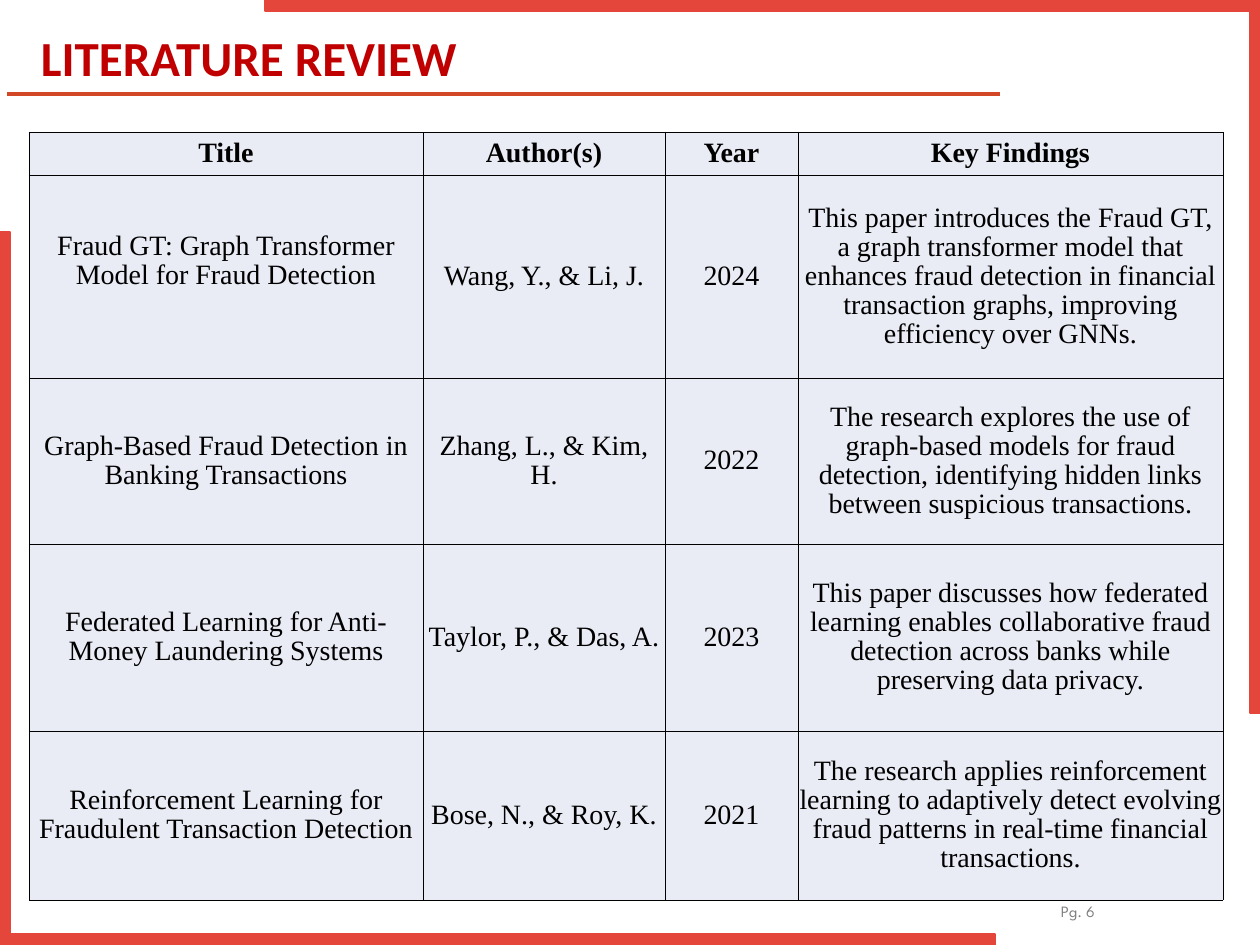
from dataclasses import dataclass

from lxml import etree
from pptx import Presentation
from pptx.dml.color import RGBColor
from pptx.enum.shapes import MSO_CONNECTOR
from pptx.enum.text import MSO_ANCHOR, PP_ALIGN
from pptx.oxml.ns import qn
from pptx.slide import Slide
from pptx.table import _Cell
from pptx.util import Emu, Pt

STRAIGHT = MSO_CONNECTOR.STRAIGHT
MIDDLE = MSO_ANCHOR.MIDDLE
CENTER = PP_ALIGN.CENTER

FRAME_RED = RGBColor(0xE4, 0x46, 0x3B)
RULE_ORANGE = RGBColor(0xD2, 0x47, 0x26)
TITLE_RED = RGBColor(0xC0, 0x00, 0x00)
PAGE_GREY = RGBColor(0x7F, 0x7F, 0x7F)
CELL_FILL = RGBColor(0xE9, 0xEB, 0xF5)
BLACK = RGBColor(0x00, 0x00, 0x00)

PX_PER_INCH = 126
EMU_PER_PX = 914400 / PX_PER_INCH
PAGE_WIDTH, PAGE_HEIGHT = 1260, 945

TABLE_LEFT, TABLE_TOP = 29, 132
COLUMN_WIDTHS = [394, 242, 133, 425]
ROW_HEIGHTS = [42, 203, 166, 187, 169]
CELL_MARGIN_X, CELL_MARGIN_Y = 1, 6
LIFT = 31


@dataclass(frozen=True)
class Label:
    text: str
    left: int
    top: int
    width: int
    height: int
    font: str
    size: int
    color: RGBColor
    bold: bool = False


@dataclass(frozen=True)
class Paper:
    title: str
    authors: str
    year: str
    findings: str
    title_lift: int = 0


LABELS = [
    Label("LITERATURE REVIEW", 41, 27, 920, 60, "Calibri", 28, TITLE_RED, True),
    Label("Pg. 6", 1061, 899, 170, 24, "League Spartan", 9, PAGE_GREY),
]

HEADER = Paper("Title", "Author(s)", "Year", "Key Findings")
PAPERS = [
    Paper(
        "Fraud GT: Graph Transformer Model for Fraud Detection",
        "Wang, Y., & Li, J.",
        "2024",
        "This paper introduces the Fraud GT, a graph transformer model that enhances "
        "fraud detection in financial transaction graphs, improving efficiency over GNNs.",
        LIFT,
    ),
    Paper(
        "Graph-Based Fraud Detection in Banking Transactions",
        "Zhang, L., & Kim, H.",
        "2022",
        "The research explores the use of graph-based models for fraud detection, "
        "identifying hidden links between suspicious transactions.",
    ),
    Paper(
        "Federated Learning for Anti-Money Laundering Systems",
        "Taylor, P., & Das, A.",
        "2023",
        "This paper discusses how federated learning enables collaborative fraud "
        "detection across banks while preserving data privacy.",
    ),
    Paper(
        "Reinforcement Learning for Fraudulent Transaction Detection",
        "Bose, N., & Roy, K.",
        "2021",
        "The research applies reinforcement learning to adaptively detect evolving "
        "fraud patterns in real-time financial transactions.",
    ),
]


def px(length: int) -> Emu:
    return Emu(round(length * EMU_PER_PX))


def add_rule(page: Slide, left: int, right: int, y: int) -> None:
    rule = page.shapes.add_connector(STRAIGHT, px(left), px(y), px(right), px(y))
    rule.line.color.rgb = RULE_ORANGE
    rule.line.width = Pt(2)
    etree.SubElement(rule._element.spPr, qn("a:effectLst"))


def add_frame_corner(page: Slide, points: list[tuple[int, int]]) -> None:
    builder = page.shapes.build_freeform(*points[0], scale=EMU_PER_PX)
    builder.add_line_segments(points[1:], close=True)
    corner = builder.convert_to_shape()
    corner.shadow.inherit = False
    corner.fill.solid()
    corner.fill.fore_color.rgb = FRAME_RED
    corner.line.color.rgb = FRAME_RED
    corner.line.width = Pt(1)


def add_frame(page: Slide) -> None:
    start, end, thick_x, thick_y = 265, 713, 10, 11
    inner = PAGE_WIDTH - thick_x
    top_right = [(PAGE_WIDTH, end), (inner, end), (inner, thick_y),
                 (start, thick_y), (start, 0), (PAGE_WIDTH, 0)]
    add_frame_corner(page, top_right)
    add_frame_corner(page, [(PAGE_WIDTH - x, PAGE_HEIGHT - y) for x, y in top_right])


def add_label(page: Slide, label: Label) -> None:
    box = page.shapes.add_textbox(
        px(label.left), px(label.top), px(label.width), px(label.height))
    frame = box.text_frame
    frame.word_wrap = True
    frame.vertical_anchor = MIDDLE
    frame.margin_left = frame.margin_right = 0
    frame.margin_top = frame.margin_bottom = 0
    para = frame.paragraphs[0]
    para.text = label.text
    para.font.name = label.font
    para.font.size = Pt(label.size)
    para.font.bold = label.bold
    para.font.color.rgb = label.color


def add_borders(cell: _Cell) -> None:
    properties = cell._tc.get_or_add_tcPr()
    for index, side in enumerate(("a:lnL", "a:lnR", "a:lnT", "a:lnB")):
        border = etree.Element(qn(side), w=str(Pt(0.23)))
        fill = etree.SubElement(border, qn("a:solidFill"))
        etree.SubElement(fill, qn("a:srgbClr"), val=str(BLACK))
        properties.insert(index, border)


def fill_cell(cell: _Cell, text: str, bold: bool, lift: int) -> None:
    cell.fill.solid()
    cell.fill.fore_color.rgb = CELL_FILL
    cell.vertical_anchor = MIDDLE
    cell.margin_left = cell.margin_right = px(CELL_MARGIN_X)
    cell.margin_top = px(CELL_MARGIN_Y)
    cell.margin_bottom = px(CELL_MARGIN_Y + lift)
    add_borders(cell)
    para = cell.text_frame.paragraphs[0]
    para.text = text
    para.alignment = CENTER
    para.line_spacing = 0.93
    para.font.name = "Times New Roman"
    para.font.size = Pt(16)
    para.font.bold = bold
    para.font.color.rgb = BLACK


def add_review_table(page: Slide) -> None:
    table = page.shapes.add_table(
        len(ROW_HEIGHTS), len(COLUMN_WIDTHS), px(TABLE_LEFT), px(TABLE_TOP),
        px(sum(COLUMN_WIDTHS)), px(sum(ROW_HEIGHTS))).table
    table.horz_banding = False
    for column, width in zip(table.columns, COLUMN_WIDTHS):
        column.width = px(width)
    for row, height, paper in zip(table.rows, ROW_HEIGHTS, [HEADER, *PAPERS]):
        row.height = px(height)
        texts = (paper.title, paper.authors, paper.year, paper.findings)
        lifts = (paper.title_lift, 0, 0, 0)
        for cell, text, lift in zip(row.cells, texts, lifts):
            fill_cell(cell, text, paper is HEADER, lift)


def main() -> None:
    deck = Presentation()
    deck.slide_width = px(PAGE_WIDTH)
    deck.slide_height = px(PAGE_HEIGHT)
    page = deck.slides.add_slide(deck.slide_layouts[6])
    add_rule(page, 7, 1000, 94)
    add_frame(page)
    for label in LABELS:
        add_label(page, label)
    add_review_table(page)
    deck.save("out.pptx")


if __name__ == "__main__":
    main()
